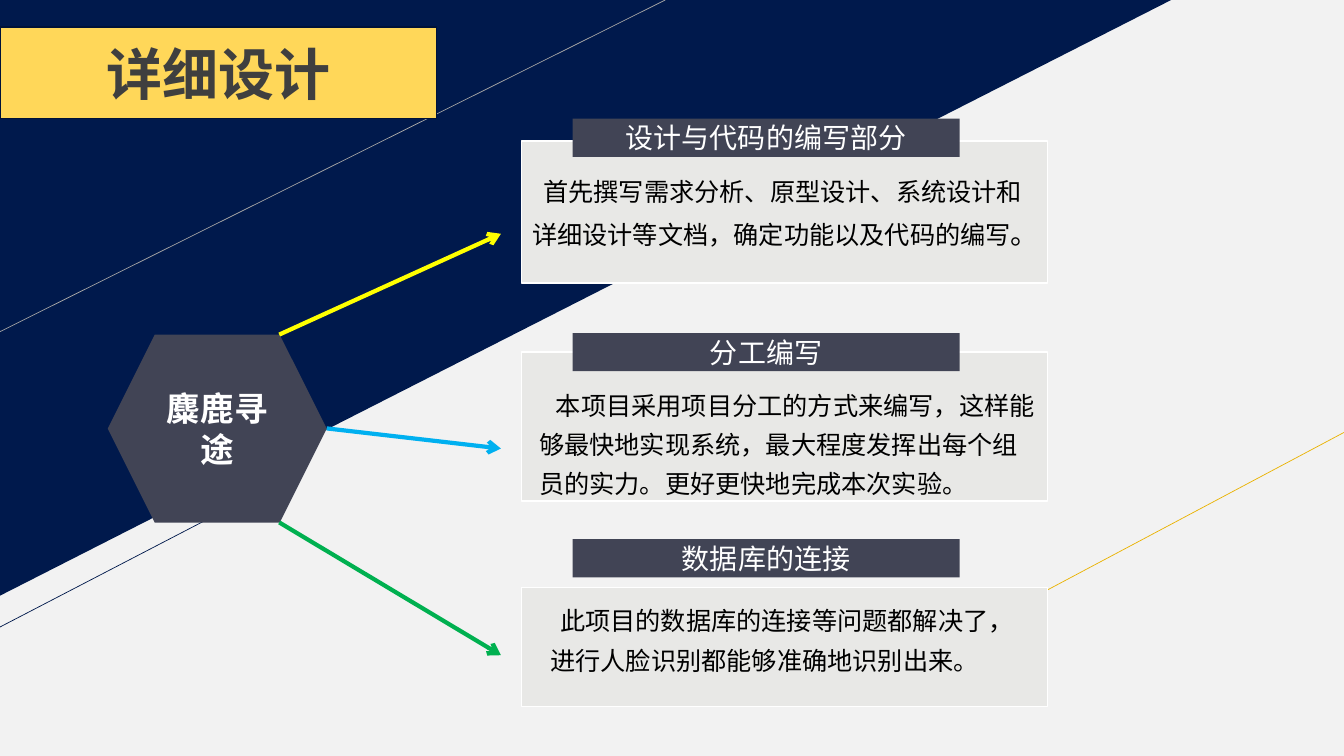
from dataclasses import dataclass

from lxml.etree import SubElement
from pptx import Presentation
from pptx.dml.color import RGBColor as RGB
from pptx.enum.shapes import MSO_CONNECTOR, MSO_SHAPE as SHAPE
from pptx.enum.text import MSO_ANCHOR as ANCHOR, MSO_AUTO_SIZE as AUTO, PP_ALIGN as ALIGN
from pptx.oxml.ns import qn
from pptx.util import Pt


@dataclass(frozen=True)
class Theme:
    paper: str = "F2F2F2"
    navy: str = "00194C"
    slate: str = "414455"
    panel: str = "E8E8E6"
    white: str = "FFFFFF"
    black: str = "000000"
    gold: str = "FFD759"
    title_edge: str = "001238"
    title_ink: str = "3F3F3F"
    gray_rule: str = "A6A6A6"
    gold_rule: str = "EAB200"
    yellow: str = "FFFF00"
    blue: str = "00B0F0"
    green: str = "00B050"
    font: str = "Noto Sans CJK SC"
    title_font: str = "Calibri"
    title: float = 40
    hub: float = 24
    heading: float = 20
    body: float = 18


class Deck:
    def __init__(self, theme, width, height):
        self.t = theme
        self.prs = Presentation()
        self.prs.slide_width, self.prs.slide_height = Pt(width), Pt(height)
        self.s = self.prs.slides.add_slide(self.prs.slide_layouts[6])

    def style(self, r, size, color, bold=False, font=None):
        f = r.font
        f.size, f.bold = Pt(size), bold
        f.color.rgb = RGB.from_string(color)
        f.name = font or self.t.font
        SubElement(r.font._element, qn("a:ea")).set("typeface", self.t.font)

    def shape(self, kind, box, fill, edge=None):
        sp = self.s.shapes.add_shape(kind, *map(Pt, box))
        sp.shadow.inherit = False
        sp.fill.solid()
        sp.fill.fore_color.rgb = RGB.from_string(fill)
        if edge:
            sp.line.color.rgb = RGB.from_string(edge)
            sp.line.width = Pt(1)
        else:
            sp.line.fill.background()
        return sp

    def label(self, sp, text, size, color, bold=False, font=None):
        tf = sp.text_frame
        tf.text = text
        tf.word_wrap = True
        tf.vertical_anchor = ANCHOR.MIDDLE
        p = tf.paragraphs[0]
        p.alignment = ALIGN.CENTER
        self.style(p.runs[0], size, color, bold, font)

    def body(self, box, indent, runs):
        tf = self.s.shapes.add_textbox(*map(Pt, box)).text_frame
        tf.word_wrap = True
        tf.auto_size = AUTO.SHAPE_TO_FIT_TEXT
        p = tf.paragraphs[0]
        p.line_spacing = 1.3
        p._p.get_or_add_pPr().set("indent", str(Pt(indent)))
        for text, size in runs:
            r = p.add_run()
            r.text = text
            self.style(r, size, self.t.black)

    def line(self, start, end, color, width=0.5, arrow=False):
        c = self.s.shapes.add_connector(MSO_CONNECTOR.STRAIGHT, *map(Pt, start + end))
        c.line.color.rgb = RGB.from_string(color)
        c.line.width = Pt(width)
        if arrow:
            SubElement(c.line._get_or_add_ln(), qn("a:tailEnd")).set("type", "arrow")
        SubElement(c._element.spPr, qn("a:effectLst"))


def main():
    t = Theme()
    d = Deck(t, 960, 540)

    # Backdrop: paper, navy corner and thin diagonals
    d.shape(SHAPE.RECTANGLE, (0, 0, 960, 540), t.paper)
    corner = d.shape(SHAPE.RIGHT_TRIANGLE, (0, 0, 836.6, 425.5), t.navy)
    corner._element.spPr.get_or_add_xfrm().set("flipV", "1")
    d.line((0, 236.9), (475.2, 0), t.gray_rule)
    d.line((709.2, 442.1), (960, 308.9), t.gold_rule)
    d.line((-1.4, 448.6), (149.8, 370.1), t.navy)

    # Project hub
    hub = d.shape(SHAPE.HEXAGON, (77, 239, 156.4, 134.4), t.slate)
    d.label(hub, "麋鹿寻途", t.hub, t.white, bold=True)

    # Sections: heading, bar top, panel (top, height), arrow (start, tip y, colour),
    # body (box, first-line indent, runs)
    sections = [
        ("设计与代码的编写部分", 84.8, (100.6, 101.5),
         ((199.5, 239), 167, t.yellow),
         ((373, 116, 374.4, 64.8), 8,
          [("首先撰写需求分析、原型设计、系统设计和详细设计等文档，确定功能以及代码的编写", t.body),
           ("。", t.heading)])),
        ("分工编写", 238, (251.3, 106.6),
         ((233.4, 306), 320.4, t.blue),
         ((378, 268.6, 372.2, 90), 12,
          [("本项目采用项目分工的方式来编写，这样能够最快地实现系统，最大程度发挥出每个组员的实力。"
            "更好更快地完成本次实验。", t.body)])),
        ("数据库的连接", 385.2, (419.8, 85),
         ((199.5, 373.2), 468, t.green),
         ((386, 422.6, 357.1, 61.9), 7,
          [("此项目的数据库的连接等问题都解决了，进行人脸识别都能够准确地识别出来。", t.body)])),
    ]
    for heading, bar_top, (top, height), (start, tip, color), body in sections:
        d.shape(SHAPE.RECTANGLE, (372.6, top, 375.8, height), t.panel, t.white)
        bar = d.shape(SHAPE.RECTANGLE, (409, bar_top, 276.5, 27.2), t.slate)
        d.label(bar, heading, t.heading, t.white)
        d.line(start, (357.8, tip), color, 3, arrow=True)
        d.body(*body)

    # Title
    title = d.shape(SHAPE.RECTANGLE, (0, 19.2, 311.8, 65.5), t.gold, t.title_edge)
    d.label(title, "详细设计", t.title, t.title_ink, bold=True, font=t.title_font)

    d.prs.save("out.pptx")


if __name__ == "__main__":
    main()
